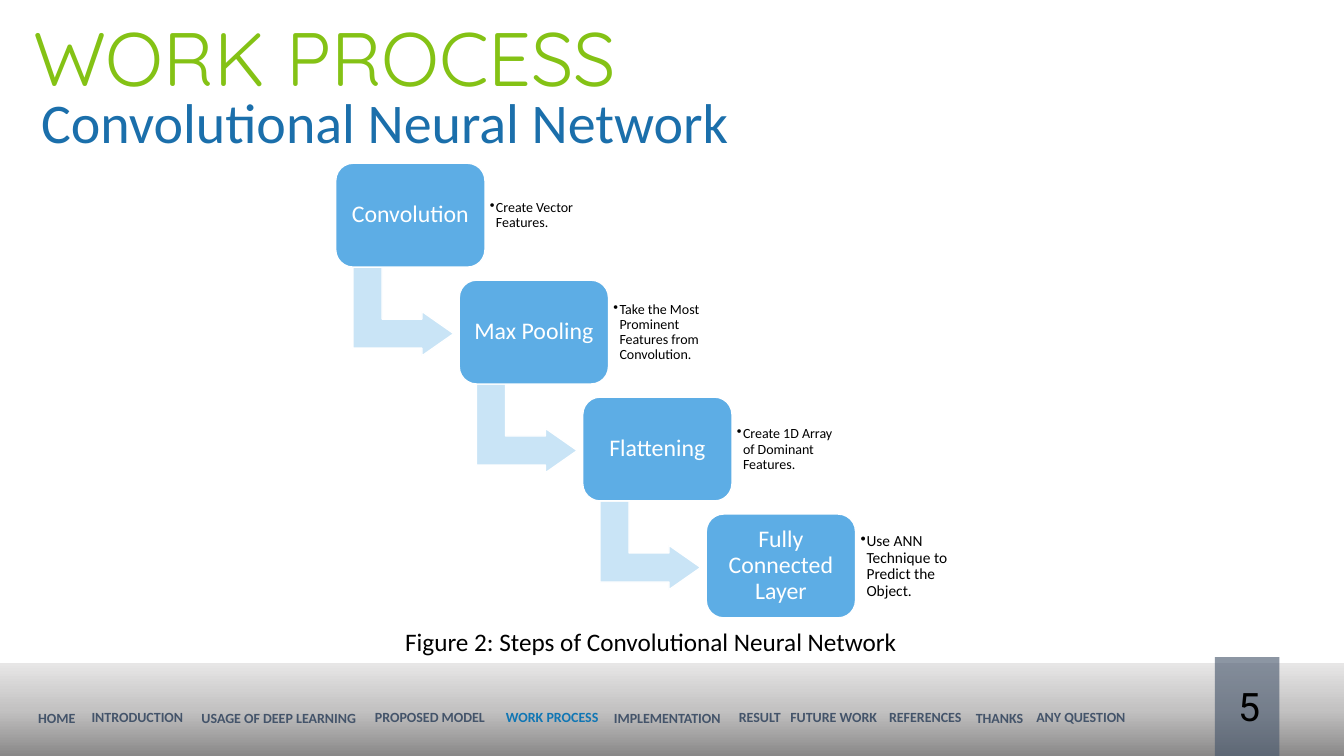
from copy import deepcopy

from lxml import etree
from pptx import Presentation
from pptx.dml.color import RGBColor
from pptx.enum.shapes import MSO_SHAPE
from pptx.enum.text import MSO_ANCHOR, PP_ALIGN
from pptx.oxml.ns import qn
from pptx.util import Inches, Pt

RECT = MSO_SHAPE.RECTANGLE
ROUND_RECT = MSO_SHAPE.ROUNDED_RECTANGLE
BENT_ARROW = MSO_SHAPE.BENT_UP_ARROW
LEFT, CENTER = PP_ALIGN.LEFT, PP_ALIGN.CENTER
TOP, MIDDLE = MSO_ANCHOR.TOP, MSO_ANCHOR.MIDDLE

COLORS = {
    "green": "84C215", "blue": "1B6FAB", "active": "1076B4",
    "step": "5DADE5", "arrow": "C9E4F6", "slate": "44546A",
    "white": "FFFFFF", "black": "000000",
    "bar_dark": "898888", "bar_mid": "C3C2C2", "bar_light": "E7E6E6",
}

# Step name, its note and the size of the note
STEPS = [
    ("Convolution", "Create Vector Features.", 10),
    ("Max Pooling", "Take the Most Prominent Features from Convolution.", 10),
    ("Flattening", "Create 1D Array of Dominant Features.", 10),
    ("Fully Connected Layer", "Use ANN Technique to Predict the Object.", 11),
]
STEP_LEFT, STEP_TOP, STEP_DX, STEP_DY = 3.33, 1.62, 1.225, 1.16

# Navigation label, left, top and width
NAV = [
    ("HOME", 0.28, 6.99, 0.76),
    ("INTRODUCTION", 0.81, 6.98, 1.2),
    ("USAGE OF DEEP LEARNING", 1.9, 6.99, 2.09),
    ("PROPOSED MODEL", 3.62, 6.98, 2.25),
    ("WORK PROCESS", 4.92, 6.98, 1.22),
    ("IMPLEMENTATION", 5.99, 6.99, 1.79),
    ("RESULT", 7.23, 6.98, 1.24),
    ("FUTURE WORK", 7.74, 6.98, 1.24),
    ("REFERENCES", 8.72, 6.98, 1.24),
    ("THANKS", 9.58, 6.99, 0.9),
    ("ANY QUESTION", 10.18, 6.98, 1.44),
]
ACTIVE = "WORK PROCESS"


def rgb(name):
    return RGBColor.from_string(COLORS[name])


def write(sp, text, size, color, font="Calibri", bold=False, align=LEFT,
          anchor=TOP, spacing=1.0, inset=None):
    """Put one formatted paragraph into a shape and return it."""
    tf = sp.text_frame
    frame_format = {"word_wrap": True, "vertical_anchor": anchor}
    if inset is not None:
        for side in ("left", "top", "right", "bottom"):
            frame_format[f"margin_{side}"] = Inches(inset)
    for name, value in frame_format.items():
        setattr(tf, name, value)
    p = tf.paragraphs[0]
    p.alignment, p.line_spacing = align, spacing
    r = p.add_run()
    r.text = text
    for name, value in {"name": font, "size": Pt(size), "bold": bold}.items():
        setattr(r.font, name, value)
    r.font.color.rgb = rgb(color)
    return p


def add_text(slide, box, text, size, color, **fmt):
    sp = slide.shapes.add_textbox(*map(Inches, box))
    return write(sp, text, size, color, **fmt)


def add_block(slide, kind, box, fill, line=None, adjustments=()):
    sp = slide.shapes.add_shape(kind, *map(Inches, box))
    sp.shadow.inherit = False
    sp.fill.solid()
    sp.fill.fore_color.rgb = rgb(fill)
    if line:
        sp.line.color.rgb = rgb(line)
        sp.line.width = Pt(1)
    else:
        sp.line.fill.background()
    for i, value in enumerate(adjustments):
        sp.adjustments[i] = value
    return sp


def set_bullet(p, indent):
    pPr = p._p.get_or_add_pPr()
    pPr.set("marL", str(Inches(indent)))
    pPr.set("indent", str(-Inches(indent)))
    etree.SubElement(pPr, qn("a:buChar"), char="•")


def set_alpha(sp, percent):
    color = sp._element.spPr.find(qn("a:solidFill"))[0]
    etree.SubElement(color, qn("a:alpha"), val=str(percent * 1000))


def set_gradient(sp, names, angle):
    """Spread three colours evenly along a linear gradient."""
    sp.fill.gradient()
    sp.fill.gradient_angle = angle
    stops = sp._element.spPr.find(qn("a:gradFill")).find(qn("a:gsLst"))
    stops.insert(1, deepcopy(stops[0]))
    for i, (stop, name) in enumerate(zip(sp.fill.gradient_stops, names)):
        stop.position = i / (len(names) - 1)
        stop.color.rgb = rgb(name)


def add_title(slide, box, text):
    title = slide.shapes.title
    for name, value in zip(("left", "top", "width", "height"), box):
        setattr(title, name, Inches(value))
    write(title, text, 54, "green", font="Quicksand")


def add_step(slide, index, name, note, note_size):
    x, y = STEP_LEFT + index * STEP_DX, STEP_TOP + index * STEP_DY
    if index < len(STEPS) - 1:
        arrow = add_block(slide, BENT_ARROW, (x + 0.23, y + 0.97, 0.88, 1),
                          "arrow", "white", (0.328, 0.25, 0.358))
        arrow.rotation = 90
    box = add_block(slide, ROUND_RECT, (x, y, 1.48, 1.03), "step", "white",
                    (0.167,))
    write(box, name, 17, "white", align=CENTER, anchor=MIDDLE, spacing=0.9,
          inset=0.07)
    p = add_text(slide, (x + 1.48, y + 0.1, 1.07, 0.84), note, note_size,
                 "black", anchor=MIDDLE, spacing=0.9, inset=0.05)
    set_bullet(p, 0.06)


def main():
    prs = Presentation()
    prs.slide_width, prs.slide_height = Inches(13.33), Inches(7.5)
    slide = prs.slides.add_slide(prs.slide_layouts[5])

    # Headings
    add_title(slide, (0.23, 0.06, 6.3, 1.01), "WORK PROCESS")
    add_text(slide, (0.31, 0.82, 7.43, 0.77), "Convolutional Neural Network",
             40, "blue")

    # Staircase of steps with its caption
    for i, step in enumerate(STEPS):
        add_step(slide, i, *step)
    add_text(slide, (3.92, 6.16, 6.04, 0.4),
             "Figure 2: Steps of Convolutional Neural Network", 18, "black")

    # Footer bar with navigation
    bar = add_block(slide, RECT, (0, 6.58, 13.33, 0.92), "bar_mid")
    set_gradient(bar, ("bar_dark", "bar_mid", "bar_light"), 90)
    for label, left, top, width in NAV:
        color = "active" if label == ACTIVE else "slate"
        add_text(slide, (left, top, width, 0.27), label, 10, color, bold=True)

    # Page number tab
    tab = add_block(slide, RECT, (12.05, 6.52, 0.64, 0.98), "slate")
    set_alpha(tab, 61)
    add_text(slide, (11.97, 6.72, 0.84, 0.57), "5", 28, "black",
             font="Roboto", align=CENTER)

    prs.save("out.pptx")


if __name__ == "__main__":
    main()
